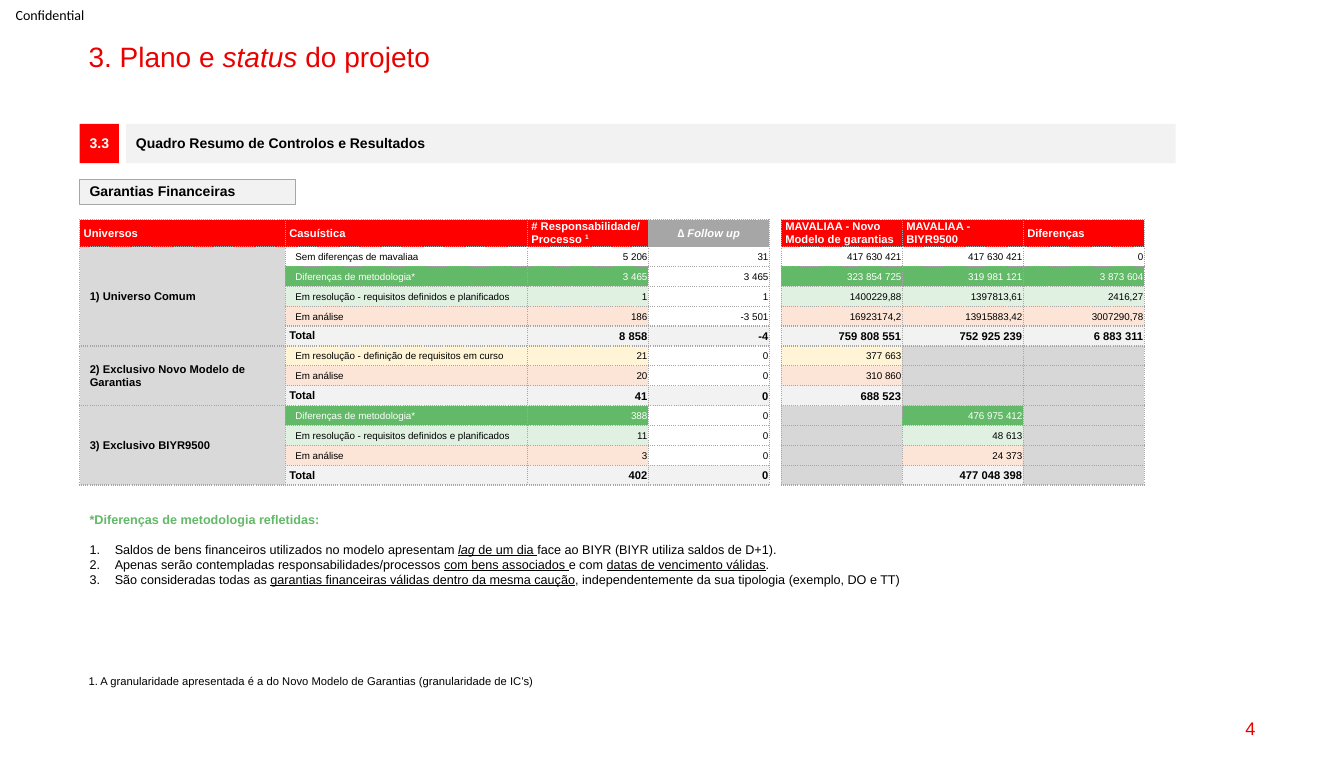
from lxml import etree
from pptx import Presentation
from pptx.dml.color import RGBColor
from pptx.enum.shapes import MSO_SHAPE
from pptx.enum.text import MSO_ANCHOR, PP_ALIGN
from pptx.oxml.ns import qn
from pptx.util import Inches, Pt

RECTANGLE = MSO_SHAPE.RECTANGLE
TOP, MIDDLE = MSO_ANCHOR.TOP, MSO_ANCHOR.MIDDLE
LEFT, CENTER, RIGHT = PP_ALIGN.LEFT, PP_ALIGN.CENTER, PP_ALIGN.RIGHT

RED, ACCENT, GREEN = "FF0000", "EB0000", "62B967"
BLACK, WHITE = "000000", "FFFFFF"
PALE, GREY, EMPTY, UNIVERSE = "F2F2F2", "A6A6A6", "D7D7D7", "D9D9D9"
CASE_FILLS = {"equal": None, "method": GREEN, "planned": "E0F1E1",
              "analysis": "FCE4D6", "ongoing": "FFF5D6", "total": PALE}

FOLLOW_UP, GAP = 3, 4
COLUMN_WIDTHS = [2.04, 2.4, 1.2, 1.2, 0.11, 1.2, 1.2, 1.2]
TABLE_HEIGHT, HEADER_HEIGHT = 2.63, 0.26
BOX_MARGINS = (0.1, 0.05, 0.1, 0.05)
HEADER_MARGINS = (0.04, 0, 0.04, 0)
LABEL_MARGINS = (0.1, 0.01, 0.01, 0)
VALUE_MARGINS = (0.01, 0.01, 0.01, 0)

HEADERS = [
    ["Universos"], ["Casuística"],
    ["# Responsabilidade/", [("Processo ", {}), ("1", {"baseline": 30000})]],
    [[("∆ Follow up", {"italic": True})]], None,
    ["MAVALIAA - Novo Modelo de garantias"], ["MAVALIAA - BIYR9500"], ["Diferenças"],
]
METHOD = "Diferenças de metodologia*"
PLANNED = "Em resolução - requisitos definidos e planificados"
ONGOING = "Em resolução - definição de requisitos em curso"
ANALYSIS = "Em análise"
UNIVERSES = [
    ("1) Universo Comum", [
        ("equal", "Sem diferenças de mavaliaa", "5 206", "31", "417 630 421", "417 630 421", "0"),
        ("method", METHOD, "3 465", "3 465", "323 854 725", "319 981 121", "3 873 604"),
        ("planned", PLANNED, "1", "1", "1400229,88", "1397813,61", "2416,27"),
        ("analysis", ANALYSIS, "186", "-3 501", "16923174,2", "13915883,42", "3007290,78"),
        ("total", "Total", "8 858", "-4", "759 808 551", "752 925 239", "6 883 311"),
    ]),
    ("2) Exclusivo Novo Modelo de Garantias", [
        ("ongoing", ONGOING, "21", "0", "377 663", None, None),
        ("analysis", ANALYSIS, "20", "0", "310 860", None, None),
        ("total", "Total", "41", "0", "688 523", None, None),
    ]),
    ("3) Exclusivo BIYR9500", [
        ("method", METHOD, "388", "0", None, "476 975 412", None),
        ("planned", PLANNED, "11", "0", None, "48 613", None),
        ("analysis", ANALYSIS, "3", "0", None, "24 373", None),
        ("total", "Total", "402", "0", None, "477 048 398", None),
    ]),
]
UNDERLINED = {"underline": True}
METHOD_NOTES = [
    [("Saldos de bens financeiros utilizados no modelo apresentam ", {}),
     ("lag", {"italic": True, "underline": True}), (" de um dia ", UNDERLINED),
     ("face ao BIYR (BIYR utiliza saldos de D+1).", {})],
    [("Apenas serão contempladas responsabilidades/processos ", {}),
     ("com bens associados ", UNDERLINED), ("e com ", {}),
     ("datas de vencimento válidas", UNDERLINED), (".", {})],
    [("São consideradas todas as ", {}),
     ("garantias financeiras válidas dentro da mesma caução", UNDERLINED),
     (", independentemente da sua tipologia (exemplo, DO e TT)", {})],
]


def color(value):
    return RGBColor.from_string(value)


class StatusSlide:
    font_name = "Arial"

    def __init__(self, slide):
        self.slide = slide

    def paragraph(self, paragraph, content, align=LEFT, line_spacing=None, **style):
        paragraph.alignment = align
        if line_spacing:
            paragraph.line_spacing = line_spacing
        runs = [(content, {})] if isinstance(content, str) else content
        for text, changes in runs:
            run = paragraph.add_run()
            run.text = text
            formats = {"name": self.font_name, "color": BLACK, **style, **changes}
            run.font.color.rgb = color(formats.pop("color"))
            run.font.size = Pt(formats.pop("size"))
            baseline = formats.pop("baseline", None)
            if baseline:
                run._r.get_or_add_rPr().set("baseline", str(baseline))
            for name, value in formats.items():
                setattr(run.font, name, value)

    def fill_frame(self, frame, paragraphs, **style):
        for index, content in enumerate(paragraphs):
            paragraph = frame.add_paragraph() if index else frame.paragraphs[0]
            self.paragraph(paragraph, content, **style)

    def frame(self, shape, anchor=TOP, margins=BOX_MARGINS, wrap=True):
        frame = shape.text_frame
        formats = {"word_wrap": wrap, "vertical_anchor": anchor}
        sides = ("margin_left", "margin_top", "margin_right", "margin_bottom")
        formats.update(zip(sides, map(Inches, margins)))
        for name, value in formats.items():
            setattr(frame, name, value)
        return frame

    def text(self, place, paragraphs, anchor=TOP, margins=BOX_MARGINS, wrap=True, **style):
        box = self.slide.shapes.add_textbox(*map(Inches, place))
        frame = self.frame(box, anchor, margins, wrap)
        self.fill_frame(frame, paragraphs, **style)
        return frame

    def label(self, place, text, fill, line=None, **style):
        shape = self.slide.shapes.add_shape(RECTANGLE, *map(Inches, place))
        shape.shadow.inherit = False
        shape.fill.solid()
        shape.fill.fore_color.rgb = color(fill)
        if line:
            shape.line.color.rgb = color(line)
            shape.line.width = Pt(0.75)
        else:
            shape.line.fill.background()
        self.fill_frame(self.frame(shape, MIDDLE), [text], size=10, bold=True,
                        line_spacing=0.9, **style)

    def numbered(self, frame, items, **style):
        for index, content in enumerate(items):
            paragraph = frame.add_paragraph()
            properties = paragraph._p.get_or_add_pPr()
            properties.set("marL", str(Inches(0.25)))
            properties.set("indent", str(-Inches(0.25)))
            etree.SubElement(properties, qn("a:buFont"), typeface="+mj-lt")
            etree.SubElement(properties, qn("a:buAutoNum"), type="arabicPeriod")
            if index == 0:
                paragraph.space_before = Pt(10.4)
            self.paragraph(paragraph, content, **style)

    def borders(self, cell, sides):
        properties = cell._tc.get_or_add_tcPr()
        for side in "LRTB":
            line = etree.SubElement(properties, qn(f"a:ln{side}"), w=str(Pt(1)))
            if side in sides:
                fill = etree.SubElement(line, qn("a:solidFill"))
                etree.SubElement(fill, qn("a:srgbClr"), val=GREY)
                etree.SubElement(line, qn("a:prstDash"), val="sysDot")
            else:
                etree.SubElement(line, qn("a:noFill"))

    def cell(self, cell, paragraphs=None, fill=None, margins=VALUE_MARGINS, sides="LRTB", **style):
        self.borders(cell, sides)
        if fill:
            cell.fill.solid()
            cell.fill.fore_color.rgb = color(fill)
        else:
            cell.fill.background()
        cell.vertical_anchor = MIDDLE
        cell.margin_left, cell.margin_top, cell.margin_right, cell.margin_bottom = map(Inches, margins)
        if paragraphs:
            self.fill_frame(cell.text_frame, paragraphs, **style)
        else:
            cell.text_frame.paragraphs[0]._p.get_or_add_endParaRPr().set("sz", "700")

    def case_row(self, table, row, case):
        kind, label, *values = case
        total = kind == "total"
        fill = CASE_FILLS[kind]
        ink = WHITE if kind == "method" else BLACK
        style = {"size": 8 if total else 7, "bold": total}
        self.cell(table.cell(row, 1), [label], fill,
                  HEADER_MARGINS if total else LABEL_MARGINS, color=ink, **style)
        self.cell(table.cell(row, GAP), sides="LR")
        columns = [column for column in range(2, len(COLUMN_WIDTHS)) if column != GAP]
        for column, value in zip(columns, values):
            plain = column == FOLLOW_UP and not total
            cell_fill = EMPTY if value is None else None if plain else fill
            self.cell(table.cell(row, column), value and [value], cell_fill, align=RIGHT,
                      color=BLACK if plain else ink, **style)

    def results_table(self, left, top):
        row_count = 1 + sum(len(cases) for _, cases in UNIVERSES)
        table = self.slide.shapes.add_table(
            row_count, len(COLUMN_WIDTHS), Inches(left), Inches(top),
            Inches(sum(COLUMN_WIDTHS)), Inches(TABLE_HEIGHT)).table
        table.first_row = table.horz_banding = False
        for column, width in zip(table.columns, COLUMN_WIDTHS):
            column.width = Inches(width)
        for index, row in enumerate(table.rows):
            row.height = Inches((TABLE_HEIGHT - HEADER_HEIGHT) / (row_count - 1) if index else HEADER_HEIGHT)
        for column, header in enumerate(HEADERS):
            follow_up = column == FOLLOW_UP
            self.cell(table.cell(0, column), header,
                      header and (GREY if follow_up else RED), HEADER_MARGINS,
                      sides="LRTB" if header else "LR", align=CENTER if follow_up else LEFT,
                      size=8, bold=True, color=WHITE)
        row = 1
        for universe, cases in UNIVERSES:
            for offset, case in enumerate(cases):
                self.cell(table.cell(row + offset, 0), None if offset else [universe], UNIVERSE,
                          LABEL_MARGINS, size=8, bold=True)
                self.case_row(table, row + offset, case)
            table.cell(row, 0).merge(table.cell(row + len(cases) - 1, 0))
            row += len(cases)


def main():
    presentation = Presentation()
    presentation.slide_width, presentation.slide_height = Inches(13.33), Inches(7.76)
    page = StatusSlide(presentation.slides.add_slide(presentation.slide_layouts[6]))
    page.text((0, 0, 0.99, 0.29), ["Confidential"], MIDDLE, (0, 0, 0, 0),
              size=10, name="Calibri", align=CENTER)
    page.text((0.78, 0.38, 11.77, 0.34),
              [[("3. Plano e ", {}), ("status", {"italic": True}), (" do projeto", {})]],
              size=20, color=ACCENT, line_spacing=0.9)
    page.text((9.55, 7.02, 3, 0.41), ["4"], MIDDLE, size=13, color=ACCENT, align=RIGHT)
    page.label((0.79, 1.23, 0.39, 0.39), "3.3", RED, color=WHITE, align=CENTER)
    page.label((1.25, 1.23, 10.41, 0.39), "Quadro Resumo de Controlos e Resultados", PALE)
    page.label((0.79, 1.78, 2.14, 0.25), "Garantias Financeiras", PALE, GREY)
    page.results_table(0.79, 2.18)
    notes = page.text((0.79, 5.03, 10.55, 1.5), ["*Diferenças de metodologia refletidas:"],
                      size=9, bold=True, color=GREEN)
    page.numbered(notes, METHOD_NOTES, size=9)
    page.text((0.78, 6.64, 4.75, 0.24),
              ["1. A granularidade apresentada é a do Novo Modelo de Garantias (granularidade de IC’s)"],
              wrap=False, size=8)
    presentation.save("out.pptx")


if __name__ == "__main__":
    main()
